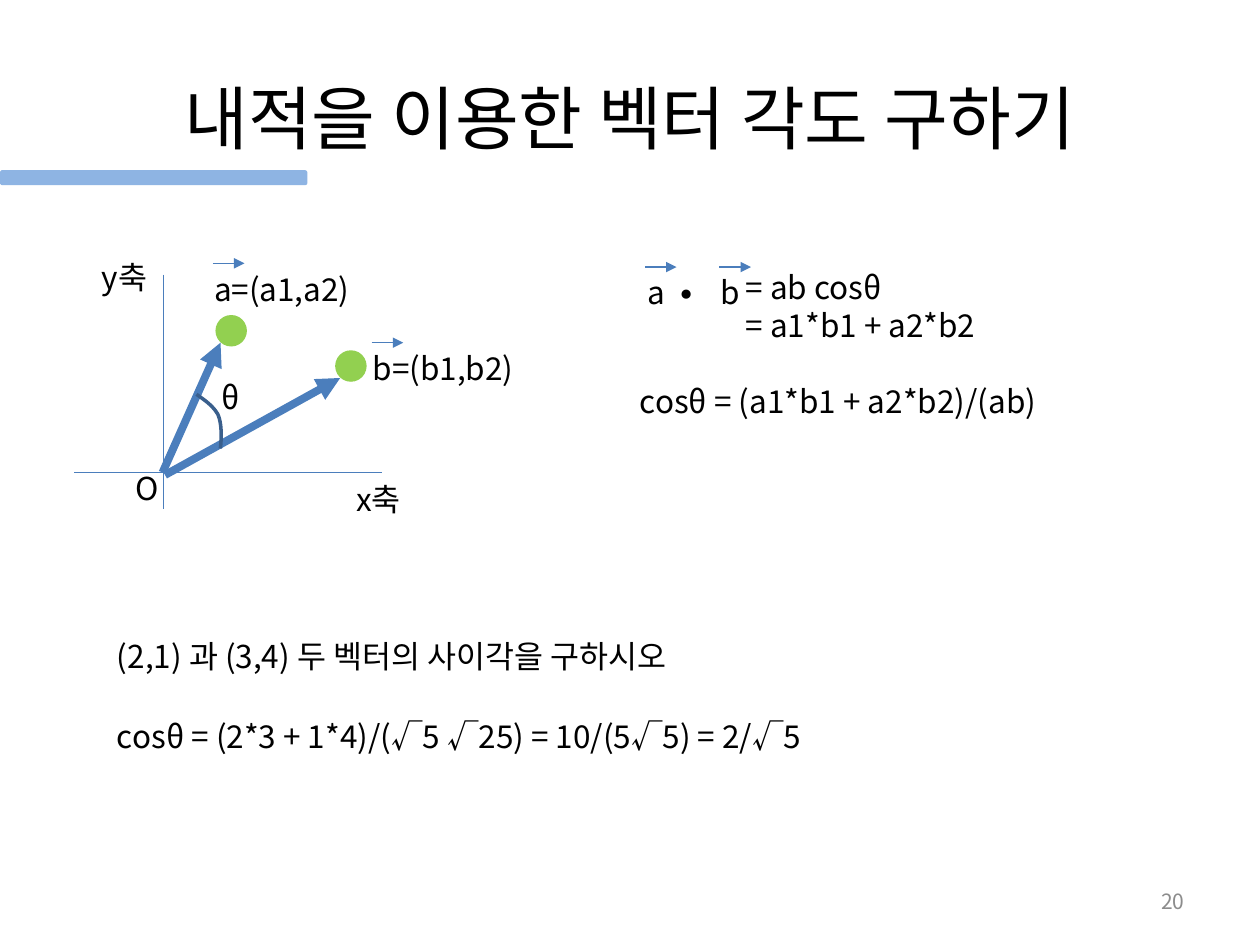
from dataclasses import dataclass

from pptx import Presentation
from pptx.dml.color import RGBColor
from pptx.enum.shapes import MSO_CONNECTOR, MSO_SHAPE
from pptx.enum.text import MSO_ANCHOR as ANCHOR, MSO_AUTO_SIZE, PP_ALIGN as ALIGN
from pptx.oxml.ns import qn
from pptx.util import Emu, Pt
from lxml.etree import SubElement

PX = 9144  # EMU per px, 100 px to the inch


@dataclass(frozen=True)
class Theme:
    font: str = "Noto Sans CJK KR"
    ink: str = "000000"
    muted: str = "8C8C8C"
    accent: str = "8EB4E3"
    line: str = "4B7EBC"
    arc: str = "3A5F8C"
    dot: str = "92D050"
    title: float = 39.6
    body: float = 18
    small: float = 12
    thin: float = 0.75
    medium: float = 2
    thick: float = 4.5


T = Theme()


@dataclass(frozen=True)
class Label:
    x: int
    y: int
    w: int
    lines: tuple[str, ...]
    h: int = 40
    size: float = T.body
    color: str = T.ink
    align: ALIGN = ALIGN.LEFT
    anchor: ANCHOR = ANCHOR.TOP
    grow: bool = True


@dataclass(frozen=True)
class Line:
    x1: int
    y1: int
    x2: int
    y2: int
    width: float = T.thin
    arrow: bool = False


def px(n: float) -> Emu:
    return Emu(round(n * PX))


def rgb(color: str) -> RGBColor:
    return RGBColor.from_string(color)


def add_label(s, label: Label) -> None:
    sp = s.shapes.add_textbox(px(label.x), px(label.y), px(label.w), px(label.h))
    tf = sp.text_frame
    tf.word_wrap = True
    tf.vertical_anchor = label.anchor
    if label.grow:
        tf.auto_size = MSO_AUTO_SIZE.SHAPE_TO_FIT_TEXT
    for i, text in enumerate(label.lines):
        p = tf.add_paragraph() if i else tf.paragraphs[0]
        p.alignment = label.align
        r = p.add_run()
        r.text = text
        r.font.name = T.font
        r.font.size = Pt(label.size)
        r.font.color.rgb = rgb(label.color)
        SubElement(r.font._element, qn("a:ea"), typeface=T.font)


def add_line(s, line: Line) -> None:
    cx = s.shapes.add_connector(MSO_CONNECTOR.STRAIGHT, px(line.x1), px(line.y1),
                                px(line.x2), px(line.y2))
    cx.line.color.rgb = rgb(T.line)
    cx.line.width = Pt(line.width)
    if line.arrow:
        SubElement(cx.line._get_or_add_ln(), qn("a:tailEnd"), type="triangle")
    SubElement(cx._element.spPr, qn("a:effectLst"))


def add_solid(s, kind: MSO_SHAPE, x: int, y: int, w: int, h: int, color: str) -> None:
    sp = s.shapes.add_shape(kind, px(x), px(y), px(w), px(h))
    sp.shadow.inherit = False
    sp.fill.solid()
    sp.fill.fore_color.rgb = rgb(color)
    sp.line.fill.background()


def bezier(points: list[tuple[int, int]], t: float) -> tuple[int, int]:
    weights = ((1 - t) ** 3, 3 * t * (1 - t) ** 2, 3 * t * t * (1 - t), t ** 3)
    return tuple(px(sum(w * pt[k] for w, pt in zip(weights, points))) for k in (0, 1))


def add_curve(s, points: list[tuple[int, int]], steps: int = 12) -> None:
    fb = s.shapes.build_freeform(px(points[0][0]), px(points[0][1]))
    for start in range(0, len(points) - 1, 3):
        part = points[start:start + 4]
        fb.add_line_segments([bezier(part, i / steps) for i in range(1, steps + 1)],
                             close=False)
    sp = fb.convert_to_shape()
    sp.shadow.inherit = False
    sp.fill.background()
    sp.line.color.rgb = rgb(T.arc)
    sp.line.width = Pt(T.medium)


TITLE = Label(50, 30, 900, ("내적을 이용한 벡터 각도 구하기",), h=125, size=T.title,
              align=ALIGN.CENTER, anchor=ANCHOR.MIDDLE, grow=False)
PAGE_NUMBER = Label(717, 695, 233, ("20",), size=T.small, color=T.muted, h=40,
                    align=ALIGN.RIGHT, anchor=ANCHOR.MIDDLE, grow=False)

GRAPH_LINES = [
    Line(130, 218, 130, 404),  # y axis
    Line(59, 375, 303, 375),  # x axis
    Line(129, 375, 175, 272, T.thick, True),  # vector a
    Line(131, 377, 270, 300, T.thick, True),  # vector b
]
VECTOR_MARKS = [(169, 209), (295, 272), (512, 212), (571, 212)]
MARK_WIDTH = 25
VECTOR_TIPS = [(171, 250), (266, 278)]
TIP_SIZE = 25
ANGLE_ARC = [(156, 313), (163, 318), (169, 322), (173, 329),
             (176, 336), (176, 346), (175, 356)]

LABELS = [
    # Graph
    Label(160, 209, 135, ("a=(a1,a2)",)),
    Label(286, 272, 141, ("b=(b1,b2)",)),
    Label(98, 367, 40, ("O",)),
    Label(273, 376, 57, ("x축",)),
    Label(71, 200, 58, ("y축",)),
    Label(166, 295, 35, ("θ",)),
    # Dot product
    Label(504, 212, 40, ("a",)),
    Label(527, 212, 40, ("∙",)),
    Label(562, 212, 47, ("b",)),
    Label(582, 208, 231, ("= ab cosθ", "= a1*b1 + a2*b2"), h=71),
    Label(498, 298, 347, ("cosθ = (a1*b1 + a2*b2)/(ab)",)),
    # Exercise
    Label(83, 501, 499, ("(2,1) 과 (3,4) 두 벡터의 사이각을 구하시오",)),
    Label(83, 564, 578, ("cosθ = (2*3 + 1*4)/(√5 √25) = 10/(5√5) = 2/√5",)),
]


def main() -> None:
    prs = Presentation()
    prs.slide_width, prs.slide_height = px(1000), px(750)
    s = prs.slides.add_slide(prs.slide_layouts[6])

    # Heading and page number
    add_label(s, TITLE)
    add_label(s, PAGE_NUMBER)
    add_solid(s, MSO_SHAPE.ROUNDED_RECTANGLE, 0, 135, 244, 12, T.accent)

    # Vector graph
    for x, y in VECTOR_TIPS:
        add_solid(s, MSO_SHAPE.OVAL, x, y, TIP_SIZE, TIP_SIZE, T.dot)
    for line in GRAPH_LINES:
        add_line(s, line)
    add_curve(s, ANGLE_ARC)

    # Labels, formulas and the arrows over vector names
    for label in LABELS:
        add_label(s, label)
    for x, y in VECTOR_MARKS:
        add_line(s, Line(x, y, x + MARK_WIDTH, y, arrow=True))

    prs.save("out.pptx")


if __name__ == "__main__":
    main()
